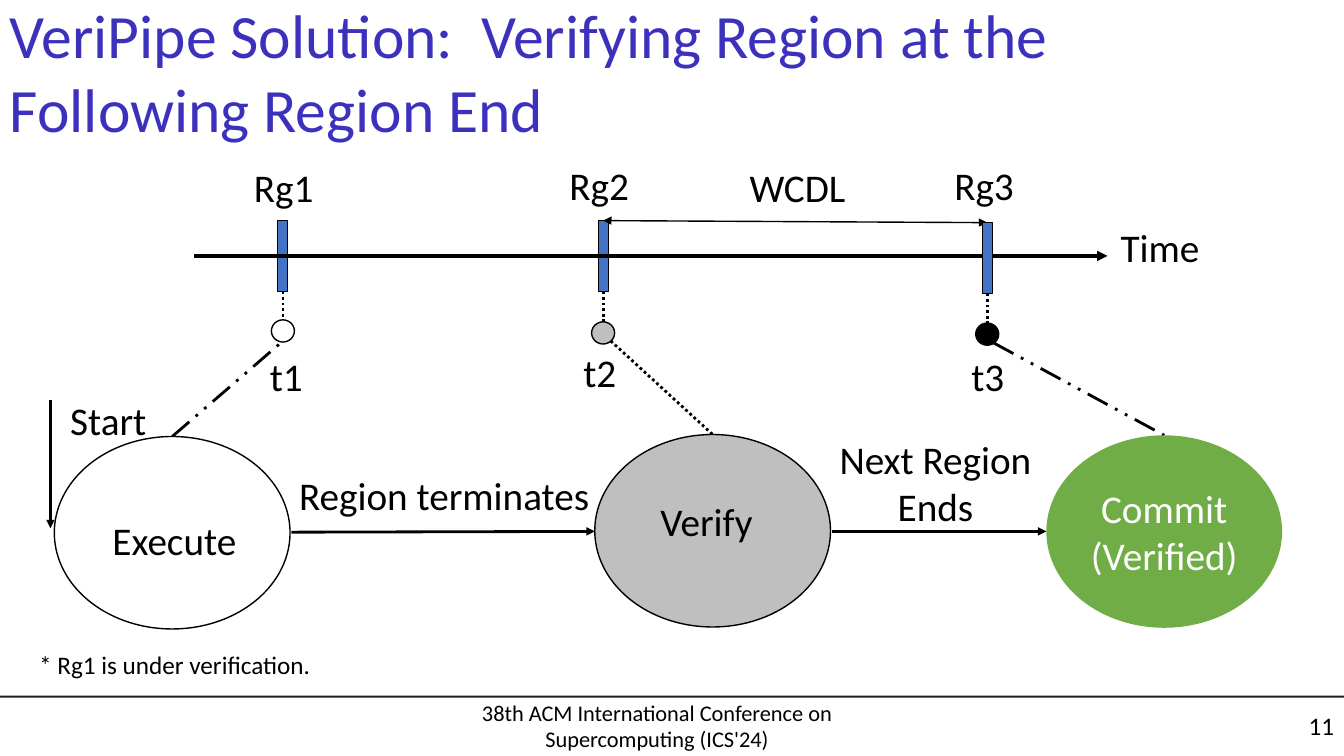
from pptx import Presentation
from pptx import util as u
from pptx.dml.color import RGBColor
from pptx.enum import dml, shapes, text
from pptx.oxml import ns
from lxml import etree

BLACK = RGBColor(0x00, 0x00, 0x00)
WHITE = RGBColor(0xFF, 0xFF, 0xFF)
GRAY = RGBColor(0xBF, 0xBF, 0xBF)
GREEN = RGBColor(0x70, 0xAD, 0x47)
BLUE = RGBColor(0x44, 0x72, 0xC4)
INDIGO = RGBColor(0x3B, 0x31, 0xBD)
CHARCOAL = RGBColor(0x23, 0x1F, 0x20)

LEFT, CENTER, RIGHT = text.PP_ALIGN.LEFT, text.PP_ALIGN.CENTER, text.PP_ALIGN.RIGHT
TOP, MIDDLE = text.MSO_ANCHOR.TOP, text.MSO_ANCHOR.MIDDLE
RECTANGLE, OVAL = shapes.MSO_SHAPE.RECTANGLE, shapes.MSO_SHAPE.OVAL
DOTS = dml.MSO_LINE.ROUND_DOT
DASH_DOTS = dml.MSO_LINE.DASH_DOT_DOT

MARKER_WIDTH, MARKER_HEIGHT = 0.25, 1.78
DOT_WIDTH, DOT_HEIGHT = 0.58, 0.56
STATE_WIDTH, STATE_HEIGHT = 5.94, 4.85
LABEL_HEIGHT = 1.45


def write(box, words, size, color, align, anchor, wrap):
    frame = box.text_frame
    frame.word_wrap = wrap
    frame.vertical_anchor = anchor
    frame.text = words
    for para in frame.paragraphs:
        para.alignment = align
        para.font.name = "Calibri"
        para.font.size = u.Pt(size)
        para.font.color.rgb = color


def add_text(page, words, left, top, width, height=LABEL_HEIGHT, size=28,
             color=BLACK, align=LEFT, anchor=TOP, wrap=False):
    box = page.shapes.add_textbox(u.Cm(left), u.Cm(top), u.Cm(width), u.Cm(height))
    write(box, words, size, color, align, anchor, wrap)


def add_figure(page, kind, left, top, width, height, fill, outline=None):
    figure = page.shapes.add_shape(kind, u.Cm(left), u.Cm(top), u.Cm(width), u.Cm(height))
    figure.shadow.inherit = False
    figure.fill.solid()
    figure.fill.fore_color.rgb = fill
    if outline is None:
        figure.line.fill.background()
    else:
        figure.line.color.rgb = BLACK
        figure.line.width = u.Pt(outline)
    return figure


def add_line(page, start, end, width=2, dash=None, arrows=()):
    line = page.shapes.add_connector(
        shapes.MSO_CONNECTOR.STRAIGHT, *(u.Cm(length) for length in start + end))
    line.line.color.rgb = BLACK
    line.line.width = u.Pt(width)
    if dash:
        line.line.dash_style = dash
    outline = line._element.spPr.find(ns.qn("a:ln"))
    for arrow in arrows:
        etree.SubElement(outline, ns.qn("a:" + arrow), type="triangle")
    etree.SubElement(line._element.spPr, ns.qn("a:effectLst"))


def add_moment(page, center, top, dot_top, fill):
    bottom = top + MARKER_HEIGHT
    add_figure(page, RECTANGLE, center - MARKER_WIDTH / 2, top,
               MARKER_WIDTH, MARKER_HEIGHT, BLUE, 0)
    add_line(page, (center, bottom), (center, dot_top), dash=DOTS)
    add_figure(page, OVAL, center - DOT_WIDTH / 2, dot_top, DOT_WIDTH, DOT_HEIGHT, fill, 1)


def add_state(page, left, top, fill, outline=1):
    return add_figure(page, OVAL, left, top, STATE_WIDTH, STATE_HEIGHT, fill, outline)


def add_frame(page):
    add_figure(page, RECTANGLE, 0, 17.53, 33.87, 0.05, CHARCOAL)
    add_text(page, "38th ACM International Conference on Supercomputing (ICS'24)",
             10.49, 17.7, 12.14, 1.17, 16, align=CENTER, anchor=MIDDLE, wrap=True)
    add_text(page, "11", 31.42, 17.78, 2.45, 1.02, 18, align=RIGHT, anchor=MIDDLE, wrap=True)
    add_text(page, "VeriPipe Solution:  Verifying Region at the Following Region End",
             0, 0, 32.79, 3.56, 44, INDIGO, anchor=MIDDLE, wrap=True)


def add_timeline(page):
    add_moment(page, 7.13, 5.56, 8.06, WHITE)
    add_moment(page, 15.2, 5.56, 8.11, GRAY)
    add_line(page, (4.9, 6.45), (27.91, 6.45), 2.5, arrows=["tailEnd"])
    add_line(page, (15.2, 5.56), (24.88, 5.61), 1, arrows=["headEnd", "tailEnd"])
    add_moment(page, 24.88, 5.61, 8.14, BLACK)
    for words, left, top, width in (
        ("Rg1", 6.15, 3.99, 2.03),
        ("Rg2", 14.1, 3.94, 2.03),
        ("Rg3", 23.8, 3.94, 2.03),
        ("WCDL", 18.64, 3.99, 2.92),
        ("t1", 6.55, 8.76, 1.35),
        ("t2", 14.45, 8.66, 1.35),
        ("t3", 24.23, 8.76, 1.35),
        ("Time", 27.99, 5.51, 2.59),
    ):
        add_text(page, words, left, top, width)


def add_states(page):
    add_line(page, (4.34, 11), (7.11, 8.61), dash=DASH_DOTS)
    add_line(page, (15.39, 8.59), (17.96, 10.95), dash=DOTS)
    add_line(page, (25.04, 8.64), (29.34, 10.97), dash=DASH_DOTS)
    add_state(page, 1.37, 11, WHITE)
    add_state(page, 14.99, 10.95, GRAY)
    commit = add_state(page, 26.37, 10.97, GREEN, None)
    write(commit, "Commit\n(Verified)", 28, WHITE, CENTER, MIDDLE, True)
    for start, end in (
        ((1.27, 10.08), (1.27, 13.31)),
        ((7.34, 13.41), (14.99, 13.39)),
        ((20.96, 13.39), (26.37, 13.39)),
    ):
        add_line(page, start, end, arrows=["tailEnd"])
    add_text(page, "Start", 1.52, 9.86, 2.49)
    add_text(page, "Region terminates", 7.29, 11.76, 7.9)
    add_text(page, "Execute", 2.54, 12.88, 3.71, align=CENTER)
    add_text(page, "Verify", 15.58, 12.4, 4.45, align=CENTER)
    add_text(page, "Next Region\nEnds", 20.55, 10.85, 6.05, 2.64, align=CENTER)
    add_text(page, "* Rg1 is under verification.", 0.74, 16.23, 7.59, 1.02, 18)


def main():
    deck = Presentation()
    deck.slide_width, deck.slide_height = u.Cm(33.87), u.Cm(19.05)
    page = deck.slides.add_slide(deck.slide_layouts[6])
    add_frame(page)
    add_timeline(page)
    add_states(page)
    deck.save("out.pptx")


if __name__ == "__main__":
    main()
